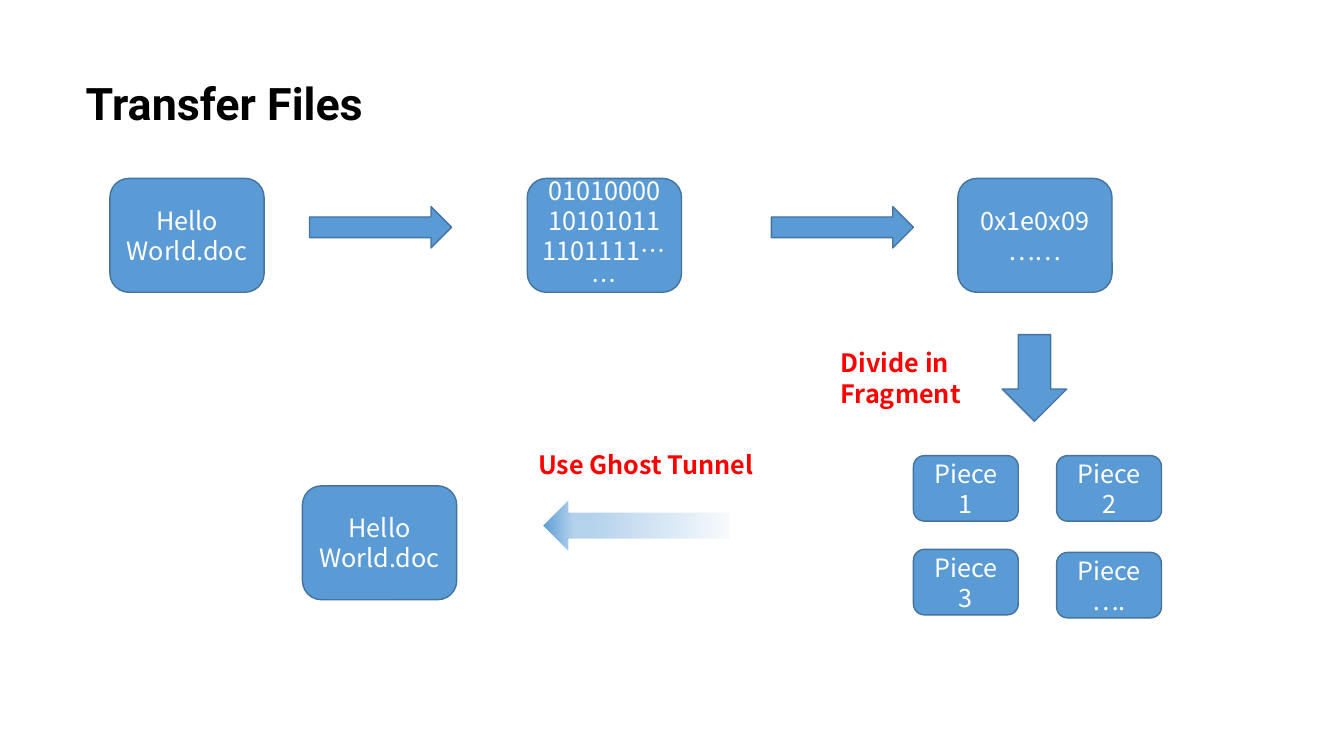
from lxml.etree import SubElement
from pptx import Presentation
from pptx.dml.color import RGBColor
from pptx.enum.lang import MSO_LANGUAGE_ID
from pptx.enum.shapes import MSO_SHAPE
from pptx.enum.text import MSO_ANCHOR, MSO_AUTO_SIZE, PP_ALIGN
from pptx.oxml.ns import qn
from pptx.util import Pt

EMU_PER_PX = 9144  # 100 px to the inch
COLORS = {
    "black": "000000",
    "white": "FFFFFF",
    "red": "FF0000",
    "blue": "5B9BD5",
    "outline": "43739E",
    "pale": "F7FAFD",
    "light": "B5D2EC",
}
TITLE_FONT = "Roboto"
BODY_FONT = "Noto Sans CJK SC"
BOX_SIZE = (153, 113)
PIECE_SIZE = (104, 65)
TUNNEL_STOPS = [(0, "pale"), (74, "light"), (83, "light"), (100, "blue")]


def px(*lengths):
    return [length * EMU_PER_PX for length in lengths]


def color(name):
    return RGBColor.from_string(COLORS[name])


def write_text(shape, text, size=18, font=BODY_FONT, fill="white", bold=False,
               align=PP_ALIGN.LEFT, anchor=MSO_ANCHOR.TOP,
               language=MSO_LANGUAGE_ID.ENGLISH_US):
    frame = shape.text_frame
    frame.word_wrap = True
    frame.auto_size = MSO_AUTO_SIZE.NONE
    frame.vertical_anchor = anchor
    paragraph = frame.paragraphs[0]
    paragraph.alignment = align
    run = paragraph.add_run()
    run.text = text
    run.font.size = Pt(size)
    run.font.name = font
    run.font.bold = bold
    run.font.color.rgb = color(fill)
    run.font.language_id = language
    east_asian = SubElement(run.font._element, qn("a:ea"))
    east_asian.set("typeface", font)


def add_block(slide, kind, box, line="outline"):
    shape = slide.shapes.add_shape(kind, *px(*box))
    shape.shadow.inherit = False
    shape.fill.solid()
    shape.fill.fore_color.rgb = color("blue")
    shape.line.color.rgb = color(line)
    shape.line.width = Pt(1)
    return shape


def add_box(slide, text, box, **text_format):
    shape = add_block(slide, MSO_SHAPE.ROUNDED_RECTANGLE, box)
    write_text(shape, text, align=PP_ALIGN.CENTER, anchor=MSO_ANCHOR.MIDDLE,
               **text_format)


def add_label(slide, text, box):
    label = slide.shapes.add_textbox(*px(*box))
    write_text(label, text, fill="red", bold=True)


def add_title(slide, box):
    title = slide.shapes.title
    title.left, title.top, title.width, title.height = px(*box)
    write_text(title, "Transfer Files", size=32, font=TITLE_FONT,
               fill="black", bold=True)


def add_encoding_row(slide, left, top):
    """File, bits and hex boxes, with an arrow after each of the first two."""
    add_box(slide, "Hello World.doc", (left, top, *BOX_SIZE))
    add_box(slide, "01010000101010111101111……", (left + 414, top, *BOX_SIZE),
            language=MSO_LANGUAGE_ID.SIMPLIFIED_CHINESE)
    add_box(slide, "0x1e0x09……", (left + 841, top, *BOX_SIZE))
    for offset in (198, 656):
        add_block(slide, MSO_SHAPE.RIGHT_ARROW, (left + offset, top + 28, 141, 41))


def add_division(slide, left, top):
    add_label(slide, "Divide in Fragment", (left, top + 8, 210, 71))
    add_block(slide, MSO_SHAPE.DOWN_ARROW, (left + 170, top, 64, 86))


def add_pieces(slide, left, top):
    for index, name in enumerate(("1", "2", "3", "….")):
        row, column = divmod(index, 2)
        nudge = 3 * row * column  # the last piece sits slightly lower
        add_box(slide, f"Piece {name}",
                (left + 142 * column, top + 93 * row + nudge, *PIECE_SIZE))


def fade_arrow(arrow):
    """Fill the arrow with a gradient that darkens towards its tip."""
    arrow.fill.gradient()
    arrow.fill.gradient_angle = 270
    stops = arrow.element.spPr.find(qn("a:gradFill")).find(qn("a:gsLst"))
    for stop in list(stops):
        stops.remove(stop)
    for percent, name in TUNNEL_STOPS:
        stop = SubElement(stops, qn("a:gs"), pos=str(percent * 1000))
        SubElement(stop, qn("a:srgbClr"), val=COLORS[name])


def add_tunnel(slide, left, top):
    """Label and fading arrow that lead back to the received file."""
    arrow = add_block(slide, MSO_SHAPE.DOWN_ARROW,
                      (left + 304, top - 13, 54, 187), line="white")
    arrow.rotation = 90
    fade_arrow(arrow)
    add_label(slide, "Use Ghost Tunnel", (left + 224, top, 248, 40))
    add_box(slide, "Hello World.doc", (left, top + 41, *BOX_SIZE))


def main():
    presentation = Presentation()
    presentation.slide_width, presentation.slide_height = px(1333, 750)
    slide = presentation.slides.add_slide(presentation.slide_layouts[5])
    add_title(slide, (75, 70, 936, 64))
    add_encoding_row(slide, 109, 177)
    add_division(slide, 824, 332)
    add_pieces(slide, 906, 452)
    add_tunnel(slide, 300, 441)
    presentation.save("out.pptx")


if __name__ == "__main__":
    main()
